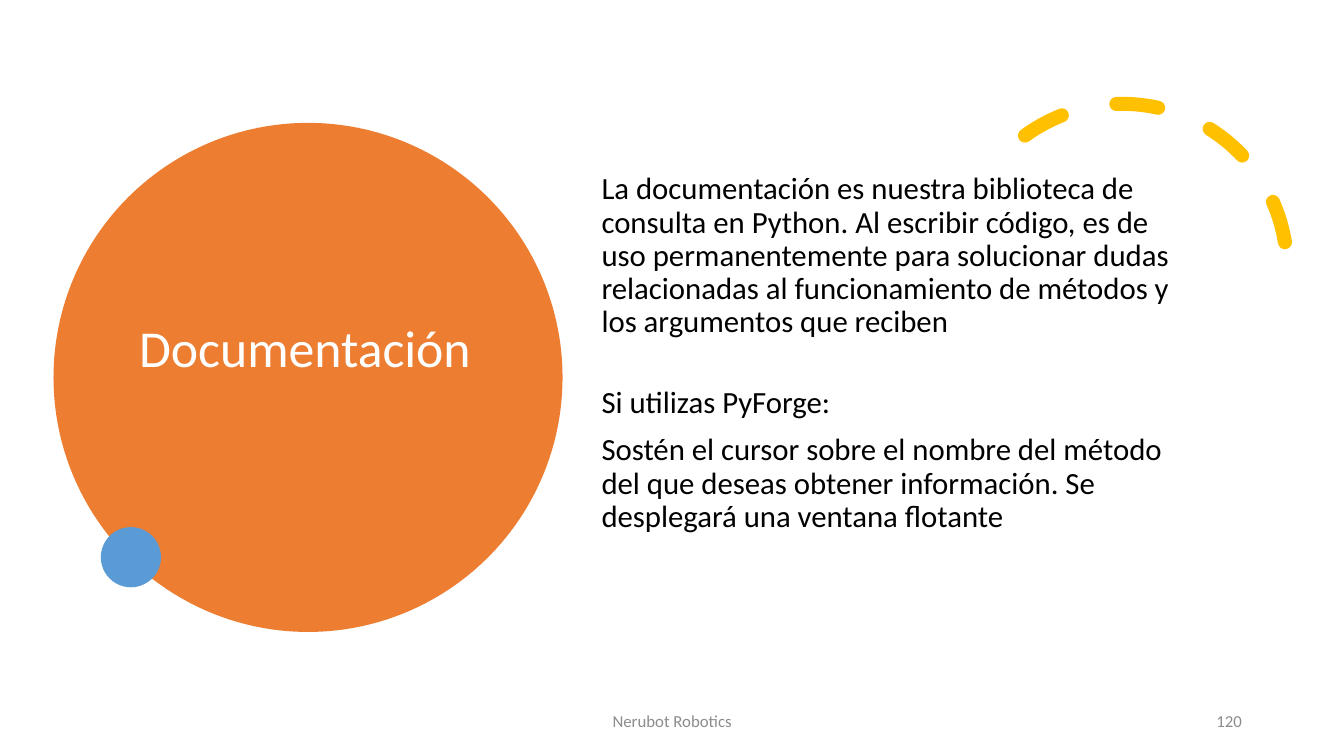
"""Build the documentation slide with its title disc, dashed arc and notes on use."""
from dataclasses import dataclass

from pptx import Presentation
from pptx.dml.color import RGBColor
from pptx.enum.dml import MSO_LINE
from pptx.enum.shapes import MSO_SHAPE
from pptx.enum.text import MSO_ANCHOR as Anchor, MSO_AUTO_SIZE as Fit, PP_ALIGN as Align
from pptx.shapes.autoshape import Shape
from pptx.slide import Slide
from pptx.util import Pt

WHITE = RGBColor(0xFF, 0xFF, 0xFF)
BLACK = RGBColor(0, 0, 0)
GREY = RGBColor(0x8C, 0x8C, 0x8C)
ORANGE = RGBColor(0xED, 0x7D, 0x31)
BLUE = RGBColor(0x5B, 0x9B, 0xD5)
GOLD = RGBColor(0xFF, 0xC0, 0x00)
FONT = "Calibri"


@dataclass(frozen=True)
class Disc:
    left: float
    top: float
    size: float
    color: RGBColor


@dataclass(frozen=True)
class Para:
    text: str
    before: float = 0
    after: float = 0


@dataclass(frozen=True)
class Block:
    left: float
    top: float
    width: float
    height: float
    paras: tuple[Para, ...]
    size: float
    color: RGBColor
    align: Align = Align.LEFT
    anchor: Anchor = Anchor.MIDDLE
    lead: float = 1.0


MAIN = Disc(38.2, 87.8, 363.6, ORANGE)
DOT = Disc(72, 376.5, 43, BLUE)

TITLE = Block(92.2, 110.2, 254.9, 320.4, (Para("Documentación"),), 37, WHITE, lead=0.9)
BODY = Block(422.6, 120.2, 435.6, 309.6, (
    Para("La documentación es nuestra biblioteca de consulta en Python. "
         "Al escribir código, es de uso permanentemente para solucionar dudas "
         "relacionadas al funcionamiento de métodos y los argumentos que reciben"),
    Para("Si utilizas PyForge:", before=34),
    Para("Sostén el cursor sobre el nombre del método del que deseas obtener "
         "información. Se desplegará una ventana flotante", before=10),
), 22, BLACK, anchor=Anchor.TOP, lead=0.9)
FOOT = Block(318.2, 500.4, 324, 28.8, (Para("Nerubot Robotics", after=6),),
             12, GREY, Align.CENTER)
PAGE = Block(678.2, 500.4, 216, 28.8, (Para("120", after=6),), 12, GREY, Align.RIGHT)


def add_disc(slide: Slide, disc: Disc) -> Shape:
    """Draw a plain filled circle."""
    shape = slide.shapes.add_shape(
        MSO_SHAPE.OVAL, Pt(disc.left), Pt(disc.top), Pt(disc.size), Pt(disc.size))
    shape.shadow.inherit = False
    shape.fill.solid()
    shape.fill.fore_color.rgb = disc.color
    shape.line.fill.background()
    return shape


def add_arc(slide: Slide) -> None:
    """Draw the dashed arc with round ends."""
    arc = slide.shapes.add_shape(MSO_SHAPE.ARC, Pt(684), Pt(74.2), Pt(235.4), Pt(235.4))
    arc.shadow.inherit = False
    arc.rotation = 330.2
    arc.adjustments[0] = 158.17
    arc.adjustments[1] = 17.81
    arc.fill.background()
    arc.line.color.rgb = GOLD
    arc.line.width = Pt(10)
    arc.line.dash_style = MSO_LINE.DASH
    arc.line._get_or_add_ln().set("cap", "rnd")


def fill_text(shape: Shape, block: Block) -> None:
    """Place a text shape and write its formatted paragraphs."""
    shape.left, shape.top = Pt(block.left), Pt(block.top)
    shape.width, shape.height = Pt(block.width), Pt(block.height)
    frame = shape.text_frame
    frame.word_wrap = True
    frame.auto_size = Fit.NONE
    frame.vertical_anchor = block.anchor
    frame.text = "\n".join(para.text for para in block.paras)
    for line, para in zip(frame.paragraphs, block.paras):
        line.alignment = block.align
        line.line_spacing = block.lead
        line.space_before = Pt(para.before)
        line.space_after = Pt(para.after)
        for run in line.runs:
            run.font.name = FONT
            run.font.size = Pt(block.size)
            run.font.color.rgb = block.color


def add_text(slide: Slide, block: Block) -> None:
    """Add a text box for a block."""
    box = slide.shapes.add_textbox(0, 0, Pt(block.width), Pt(block.height))
    fill_text(box, block)


def main() -> None:
    """Build and save the slide."""
    deck = Presentation()
    deck.slide_width, deck.slide_height = Pt(960), Pt(540)
    slide = deck.slides.add_slide(deck.slide_layouts[5])
    disc = add_disc(slide, MAIN)
    title = slide.shapes.title
    fill_text(title, TITLE)
    title.text_frame.margin_bottom = Pt(44)
    disc.element.addnext(title.element)
    add_arc(slide)
    add_disc(slide, DOT)
    for block in (BODY, FOOT, PAGE):
        add_text(slide, block)
    deck.save("out.pptx")


if __name__ == "__main__":
    main()
